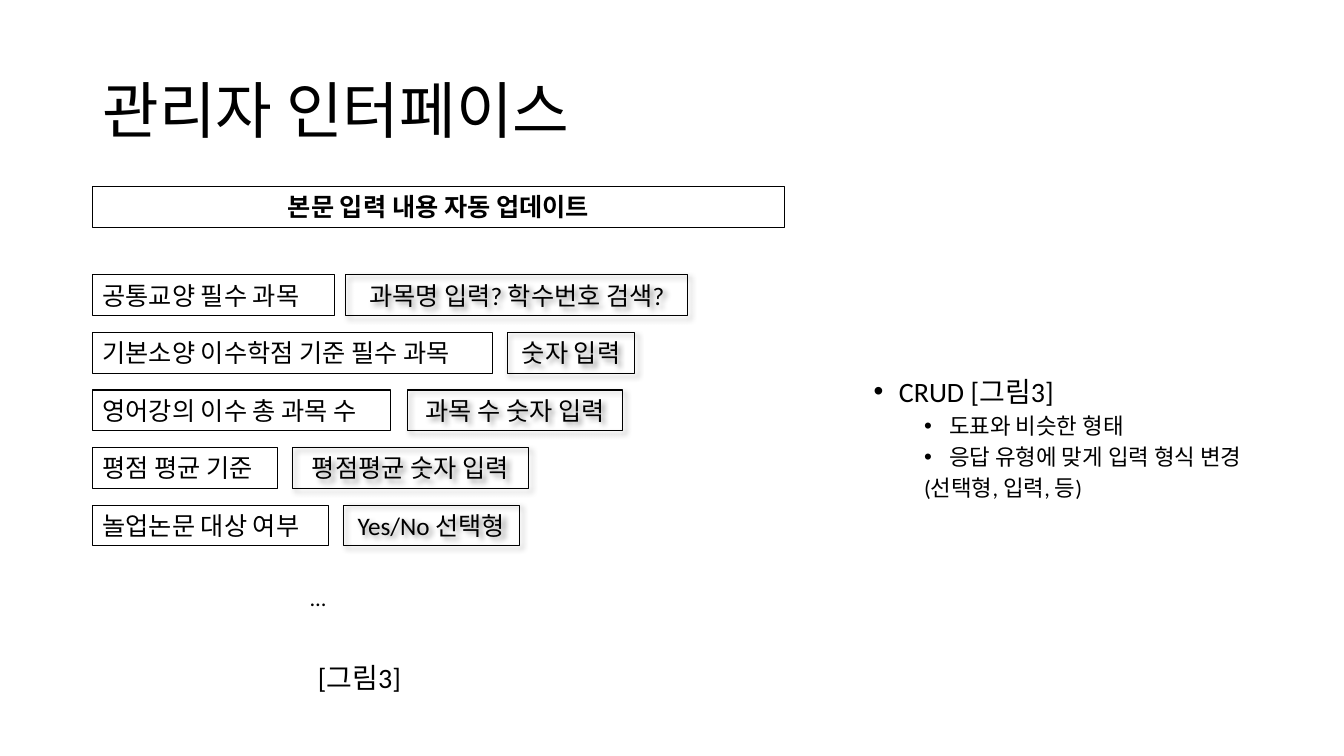
from lxml import etree
from pptx import Presentation
from pptx.dml.color import RGBColor
from pptx.enum import shapes, text
from pptx.oxml import ns
from pptx.util import Pt

TITLE = "관리자 인터페이스"
HEADER = "본문 입력 내용 자동 업데이트"
ROWS = [
    ("공통교양 필수 과목", 172.8, 247, "과목명 입력? 학수번호 검색?", 244.1),
    ("기본소양 이수학점 기준 필수 과목", 285.8, 362.2, "숫자 입력", 91.4),
    ("영어강의 이수 총 과목 수", 213.1, 290.9, "과목 수 숫자 입력", 154.1),
    ("평점 평균 기준", 131.8, 208.8, "평점평균 숫자 입력", 168.5),
    ("놀업논문 대상 여부", 168.5, 245.5, "Yes/No 선택형", 125.3),
]
NOTES = [
    ("CRUD [그림3]", 20, 0, 18, -18),
    ("도표와 비슷한 형태", 16, 1, 54, -18),
    ("응답 유형에 맞게 입력 형식 변경", 16, 1, 54, -18),
    ("(선택형, 입력, 등)", 16, 1, 36, 0),
]
MORE = "…"
CAPTION = "[그림3]"

FONT = "Calibri"
BLACK = RGBColor(0, 0, 0)
LEFT, BOX_H = 66.2, 29.08
HEADER_TOP, ROW_TOP, ROW_PITCH = 133.2, 196.4, 41.1
LEFT_ALIGN, CENTER = text.PP_ALIGN.LEFT, text.PP_ALIGN.CENTER


def style(p, size, align=LEFT_ALIGN, bold=False, spacing=None):
    p.alignment = align
    p.font.name = FONT
    p.font.size = Pt(size)
    p.font.bold = bold
    p.font.color.rgb = BLACK
    if spacing:
        p.line_spacing = spacing


def add_text(s, words, x, y, w, h, size, align=LEFT_ALIGN, anchor=text.MSO_ANCHOR.TOP):
    tf = s.shapes.add_textbox(Pt(x), Pt(y), Pt(w), Pt(h)).text_frame
    tf.word_wrap = True
    tf.vertical_anchor = anchor
    tf.text = words
    style(tf.paragraphs[0], size, align, spacing=0.9)


def add_box(parent, words, x, y, w, align=CENTER, bold=False, shadow=False):
    sp = parent.shapes.add_shape(shapes.MSO_SHAPE.RECTANGLE, Pt(x), Pt(y), Pt(w), Pt(BOX_H))
    sp.fill.background()
    sp.line.color.rgb = BLACK
    sp.line.width = Pt(0.75)
    sp.shadow.inherit = False
    if shadow:
        effects = sp._element.spPr.find(ns.qn("a:effectLst"))
        outer = etree.SubElement(effects, ns.qn("a:outerShdw"), blurRad=str(Pt(4)),
                                 dist=str(Pt(3)), dir="2700000", algn="tl", rotWithShape="0")
        color = etree.SubElement(outer, ns.qn("a:srgbClr"), val=str(BLACK))
        etree.SubElement(color, ns.qn("a:alpha"), val="40000")
    tf = sp.text_frame
    tf.word_wrap = True
    tf.auto_size = text.MSO_AUTO_SIZE.SHAPE_TO_FIT_TEXT
    tf.vertical_anchor = text.MSO_ANCHOR.TOP
    tf.text = words
    style(tf.paragraphs[0], 18, align, bold)


def add_notes(s):
    tf = s.shapes.add_textbox(Pt(617), Pt(266.4), Pt(321.8), Pt(104.4)).text_frame
    tf.word_wrap = True
    for i, (words, size, level, margin, indent) in enumerate(NOTES):
        p = tf.add_paragraph() if i else tf.paragraphs[0]
        p.text = words
        p.level = level
        style(p, size, spacing=0.9)
        p.space_before = Pt(5 * level)
        pPr = p._p.get_or_add_pPr()
        pPr.set("marL", str(Pt(margin)))
        pPr.set("indent", str(Pt(indent)))
        if indent:
            font = etree.Element(ns.qn("a:buFont"), typeface="Arial")
            bullet = etree.Element(ns.qn("a:buChar"), char="•")
            spacing = pPr.find(ns.qn("a:spcBef"))
            spacing.addnext(font)
            font.addnext(bullet)


def main():
    prs = Presentation()
    prs.slide_width, prs.slide_height = Pt(960), Pt(540)
    s = prs.slides.add_slide(prs.slide_layouts[6])
    add_text(s, TITLE, LEFT, 28.8, 828, 104.4, 44, anchor=text.MSO_ANCHOR.MIDDLE)
    add_notes(s)
    add_box(s, HEADER, LEFT, HEADER_TOP, 493.9, bold=True)
    for i, (label, label_w, field_x, field, field_w) in enumerate(ROWS):
        y = ROW_TOP + i * ROW_PITCH
        row = s.shapes.add_group_shape()
        add_box(row, label, LEFT, y, label_w, LEFT_ALIGN)
        add_box(row, field, field_x, y, field_w, shadow=True)
    add_text(s, MORE, 214.6, 416.2, 66.2, 28.8, 16)
    add_text(s, CAPTION, 200.9, 470.9, 111.6, 29.5, 20, CENTER)
    prs.save("out.pptx")


if __name__ == "__main__":
    main()
